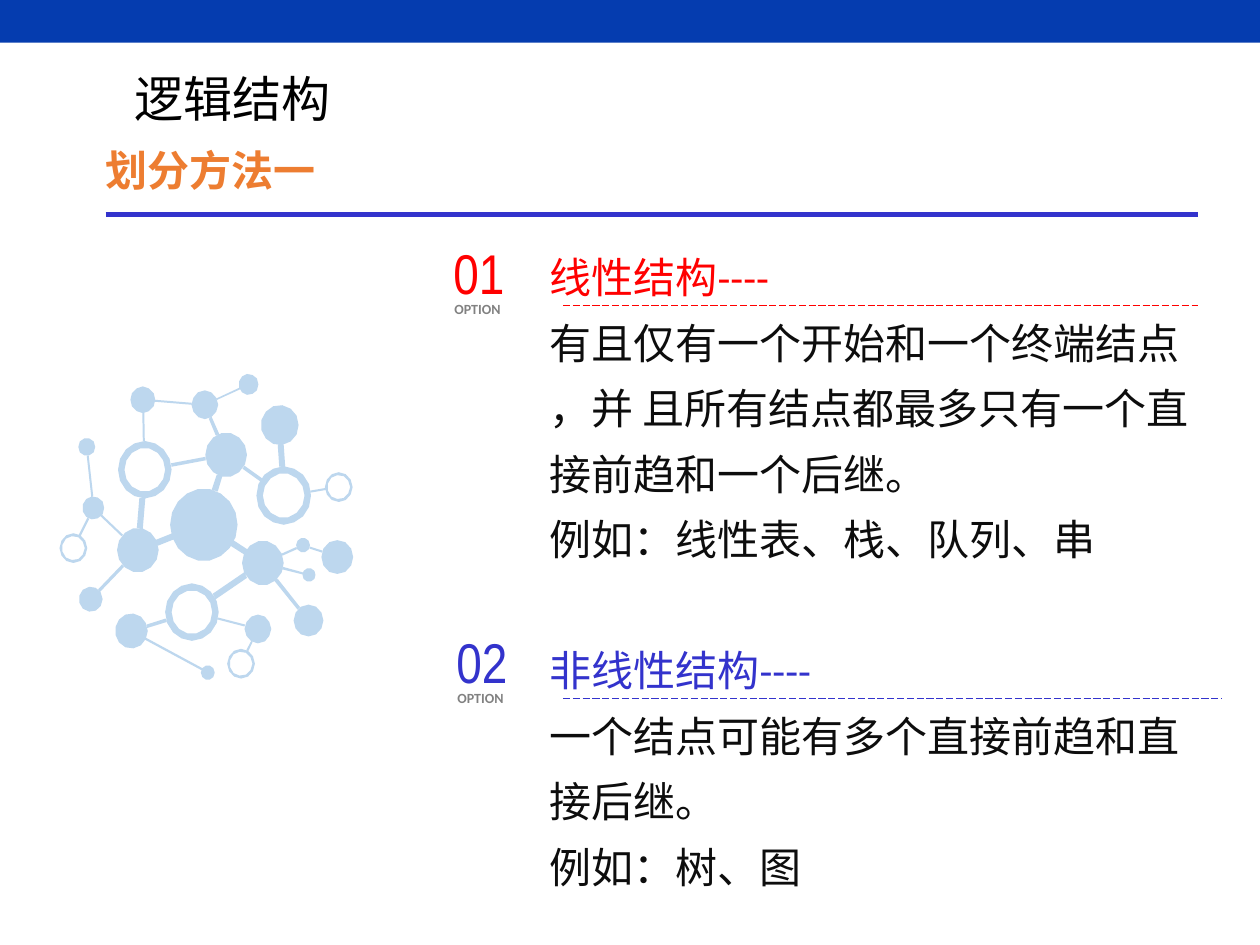
from math import atan2, cos, pi, sin
from lxml import etree
from pptx import Presentation
from pptx import util as u
from pptx.dml import color as col
from pptx.enum import dml, shapes, text
from pptx.oxml import ns


def paint(fmt, hue):
    if hasattr(fmt, "solid"):
        fmt.solid()
        fmt.fore_color.rgb = col.RGBColor.from_string(hue)
    else:
        fmt.color.rgb = col.RGBColor.from_string(hue)


def write(area, paras, frame={}, face={}, lead=1.0, left=0):
    box = slide.shapes.add_textbox(*[u.Cm(n) for n in area])
    body = box.text_frame
    for key, val in {"word_wrap": True, **frame}.items():
        setattr(body, key, val)
    for row, (words, hue, gap) in enumerate(paras):
        para = body.paragraphs[0] if row == 0 else body.add_paragraph()
        for key, val in {"line_spacing": lead, "space_before": u.Pt(gap)}.items():
            setattr(para, key, val)
        if left:
            para._p.get_or_add_pPr().set("marL", str(u.Cm(left)))
        for part, line in enumerate(words.split("\n")):
            if part:
                para.add_line_break()
            run = para.add_run()
            run.text = line
            for key, val in {"name": "Calibri", **face}.items():
                setattr(run.font, key, val)
            paint(run.font, hue)


deck = Presentation()
deck.slide_width, deck.slide_height = u.Cm(25.4), u.Cm(19.05)
slide = deck.slides.add_slide(deck.slide_layouts[6])
RED, BLUE, DARK = "FF0000", "3333CC", "0D0D0D"

bar = slide.shapes.add_shape(shapes.MSO_SHAPE.RECTANGLE, 0, 0, deck.slide_width, u.Cm(0.86))
bar.shadow.inherit = False
paint(bar.fill, "053CAF")
bar.line.fill.background()

middle = {"vertical_anchor": text.MSO_ANCHOR.MIDDLE}
write((1.88, 2.49, 8, 2.01), [("划分方法一", "ED7D31", 0)],
      face={"size": u.Pt(24), "bold": True}, lead=1.3)
write((2.46, 1.09, 6.83, 1.78), [("逻辑结构", "000000", 0)],
      middle, {"size": u.Pt(28)})
write((8.53, 4.65, 16.36, 14), [
    ("线性结构----", RED, 0),
    ("有且仅有一个开始和一个终端结点\n，并 且所有结点都最多只有一个直\n接前趋和一个后继。", DARK, 0),
    ("例如：线性表、栈、队列、串", DARK, 0),
    ("非线性结构----", BLUE, 37.4),
    ("一个结点可能有多个直接前趋和直\n接后继。", DARK, 0),
    ("例如：树、图", DARK, 0),
], face={"size": u.Pt(24)}, lead=1.3, left=2.3)

grow = {"auto_size": text.MSO_AUTO_SIZE.SHAPE_TO_FIT_TEXT}
flush = {"margin_" + side: 0 for side in ("left", "top", "right", "bottom")}
for num, hue, x, y in (("01", RED, 9.14, 4.8), ("02", BLUE, 9.2, 12.65)):
    write((x, y, 1.27, 1.37), [(num, hue, 0)], {**middle, **flush, **grow},
          {"size": u.Pt(32), "name": "Arial Narrow"})
    write((x - 0.23, y + 1.13, 1.6, 0.61), [("OPTION", "818181", 0)],
          {**grow, "word_wrap": False}, {"size": u.Pt(8), "bold": True})

dash = dml.MSO_LINE.LONG_DASH
for x, end, y, hue, wide, style in (
    (11.35, 24.64, 14.07, BLUE, 0.5, dash),
    (11.35, 24.16, 6.15, RED, 0.5, dash),
    (2.13, 24.16, 4.32, BLUE, 3, None),
):
    rule = slide.shapes.add_connector(
        shapes.MSO_CONNECTOR.STRAIGHT, u.Cm(x), u.Cm(y), u.Cm(end), u.Cm(y))
    for key, val in {"width": u.Pt(wide), "dash_style": style}.items():
        setattr(rule.line, key, val)
    paint(rule.line, hue)
    etree.SubElement(rule._element.spPr, ns.qn("a:effectLst"))

nodes = {
    "A": (2.88, 8.06, 0.25, 0), "B": (4.13, 8.16, 0.27, 0),
    "C": (5.01, 7.75, 0.2, 0), "D": (5.64, 8.57, 0.38, 0),
    "E": (4.56, 9.17, 0.42, 0), "F": (2.92, 9.47, 0.54, 0.41),
    "G": (5.72, 9.99, 0.55, 0.42), "H": (6.83, 9.82, 0.28, 0.23),
    "I": (1.75, 9.01, 0.17, 0), "J": (1.88, 10.24, 0.22, 0),
    "K": (1.48, 11.05, 0.28, 0.23), "L": (2.78, 11.09, 0.42, 0),
    "M": (1.83, 12.08, 0.24, 0), "N": (4.11, 10.58, 0.68, 0),
    "O": (5.3, 11.35, 0.42, 0), "P": (6.11, 10.99, 0.14, 0),
    "Q": (6.8, 11.23, 0.32, 0), "R": (6.23, 11.59, 0.13, 0),
    "S": (6.22, 12.51, 0.3, 0), "T": (3.87, 12.34, 0.54, 0.41),
    "U": (2.65, 12.72, 0.33, 0), "V": (5.2, 12.68, 0.27, 0),
    "W": (4.19, 13.56, 0.14, 0), "X": (4.86, 13.38, 0.28, 0.23),
}
links = {
    0.04: "AB BC AF IJ JK JL GH OP PQ OR TV VX UW",
    0.07: "BE EF EG LM OS TU",
    0.12: "DG EN FL LN NO OT",
}
tall = 1.07
loops = []
for x, y, outer, inner in nodes.values():
    for rad in (outer, inner):
        if rad:
            count = 8 + round(14 * rad)
            turns = [2 * pi * n / count for n in range(count)]
            loops.append([(x + rad * cos(t), y + rad * tall * sin(t)) for t in turns])
for wide, pairs in links.items():
    for a, b in pairs.split():
        edge = []
        for here, there in ((a, b), (b, a)):
            x, y, rad, _ = nodes[here]
            dx, dy = nodes[there][0] - x, (nodes[there][1] - y) / tall
            turn, half = atan2(dy, dx), wide / 2 / rad
            edge += [(x + rad * cos(t), y + rad * tall * sin(t))
                     for t in (turn - half, turn + half)]
        loops.append(edge)

pen = None
for loop in loops:
    first, *rest = [(round(x * 100), round(y * 100)) for x, y in loop]
    if pen is None:
        pen = slide.shapes.build_freeform(*first, scale=u.Cm(0.01))
    else:
        pen.move_to(*first)
    pen.add_line_segments(rest, close=True)
web = pen.convert_to_shape()
web.shadow.inherit = False
paint(web.fill, "BDD7EE")
web.line.fill.background()

deck.save("out.pptx")
